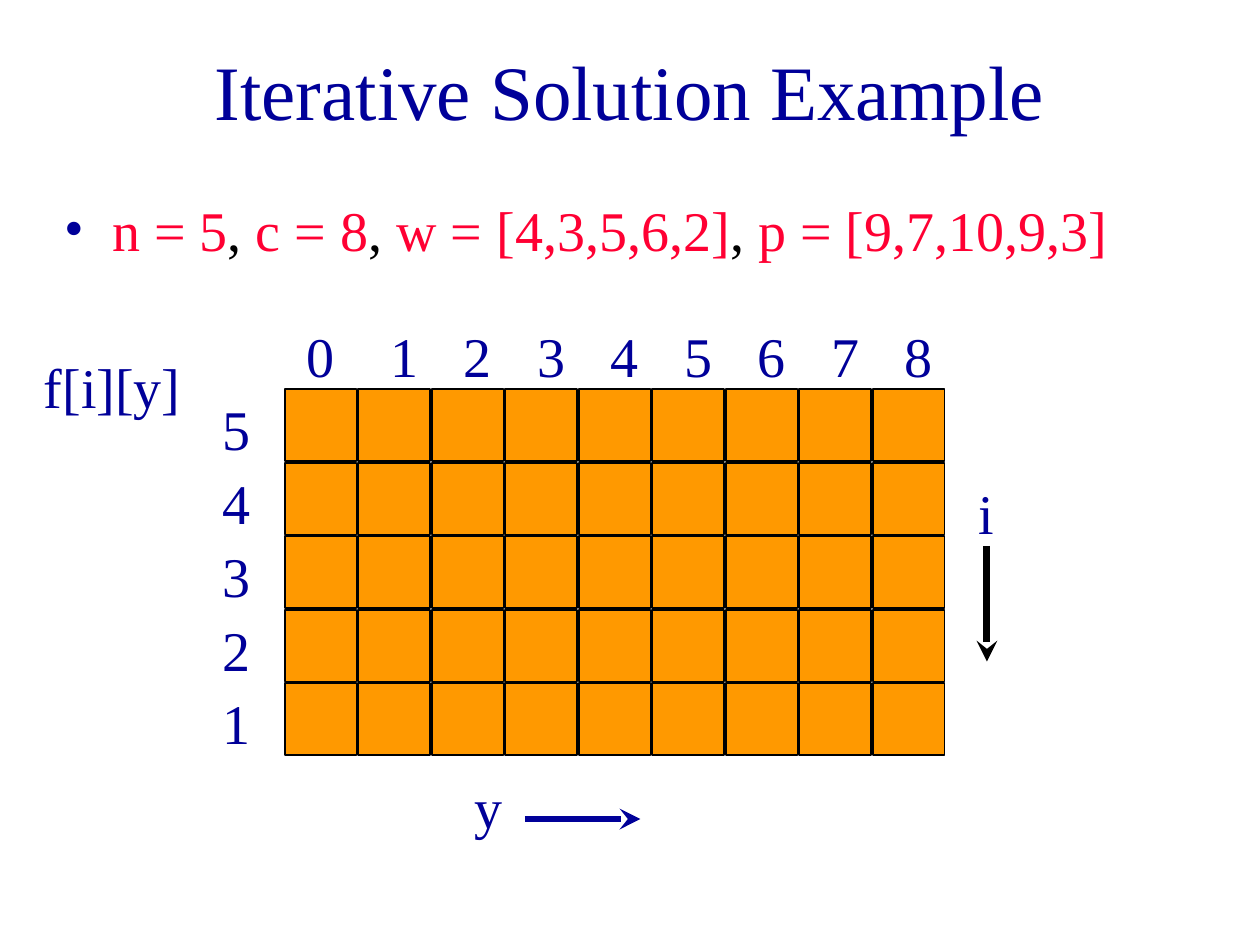
from lxml.etree import SubElement
from pptx import Presentation
from pptx.dml.color import RGBColor
from pptx.enum.shapes import MSO_CONNECTOR, MSO_SHAPE
from pptx.enum.text import MSO_ANCHOR, PP_ALIGN
from pptx.oxml.ns import qn
from pptx.util import Pt

FONT = "Times New Roman"
NAVY, RED, BLACK, ORANGE = "000099", "FF0033", "000000", "FF9900"

TITLE = "Iterative Solution Example"
PARAMETERS = ["n = 5", "c = 8", "w = [4,3,5,6,2]", "p = [9,7,10,9,3]"]
ROWS = ["5", "4", "3", "2", "1"]
COLUMNS = ["0", "1", "2", "3", "4", "5", "6", "7", "8"]
LABELS = [  # text, left, top, width
    ("f[i][y]", 18, 198, 102),
    ("y", 264, 438, 35),
    ("i", 552, 270, 30),
]
ARROWS = [  # start x, start y, end x, end y, colour
    (300, 468, 366, 468, NAVY),
    (564, 312, 564, 378, BLACK),
]
GRID_LEFT, GRID_TOP, PITCH, CELL = 162.75, 222.5, 42, 41


def colour(value):
    return RGBColor.from_string(value)


def format_span(span, size, value):
    span.font.name = FONT
    span.font.size = Pt(size)
    span.font.color.rgb = colour(value)


def add_label(page, text, left, top, width=35):
    box = page.shapes.add_textbox(Pt(left), Pt(top), Pt(width), Pt(45.5))
    box.text_frame.word_wrap = True
    para = box.text_frame.paragraphs[0]
    para.text = text
    format_span(para.runs[0], 32, NAVY)


def add_title(page):
    title = page.shapes.title
    title.left, title.top, title.width, title.height = Pt(54), Pt(12), Pt(612), Pt(78)
    title.text_frame.text = TITLE
    title.text_frame.vertical_anchor = MSO_ANCHOR.MIDDLE
    para = title.text_frame.paragraphs[0]
    para.alignment = PP_ALIGN.CENTER
    format_span(para.runs[0], 44, NAVY)


def add_parameters(page):
    box = page.shapes.add_textbox(Pt(30), Pt(108), Pt(666), Pt(48))
    box.text_frame.word_wrap = True
    para = box.text_frame.paragraphs[0]
    for index, parameter in enumerate(PARAMETERS):
        parts = [(parameter, RED)]
        if index:
            parts.insert(0, (", ", BLACK))
        for text, value in parts:
            span = para.add_run()
            span.text = text
            format_span(span, 32, value)
    properties = para._p.get_or_add_pPr()
    properties.set("marL", str(Pt(27)))
    properties.set("indent", str(-Pt(27)))
    bullet_colour = SubElement(properties, qn("a:buClr"))
    SubElement(bullet_colour, qn("a:srgbClr"), val=NAVY)
    SubElement(properties, qn("a:buFont"), typeface=FONT)
    SubElement(properties, qn("a:buChar"), char="•")


def add_grid(page):
    for row in range(len(ROWS)):
        for column in range(len(COLUMNS)):
            cell = page.shapes.add_shape(
                MSO_SHAPE.RECTANGLE,
                Pt(GRID_LEFT + column * PITCH), Pt(GRID_TOP + row * PITCH),
                Pt(CELL), Pt(CELL))
            cell.shadow.inherit = False
            cell.fill.solid()
            cell.fill.fore_color.rgb = colour(ORANGE)
            cell.line.color.rgb = colour(BLACK)
            cell.line.width = Pt(1)
    for row, text in enumerate(ROWS):
        add_label(page, text, 120, 222 + row * PITCH)
    for column, text in enumerate(COLUMNS):
        # The first column label sits slightly left of the regular spacing.
        add_label(page, text, 174 + column * PITCH if column else 168, 180)


def add_arrow(page, start_x, start_y, end_x, end_y, value):
    arrow = page.shapes.add_connector(
        MSO_CONNECTOR.STRAIGHT, Pt(start_x), Pt(start_y), Pt(end_x), Pt(end_y))
    arrow.line.color.rgb = colour(value)
    arrow.line.width = Pt(4)
    SubElement(arrow.line._get_or_add_ln(), qn("a:tailEnd"), type="stealth")
    SubElement(arrow._element.spPr, qn("a:effectLst"))


def main():
    deck = Presentation()
    deck.slide_width, deck.slide_height = Pt(720), Pt(540)
    page = deck.slides.add_slide(deck.slide_layouts.get_by_name("Title Only"))
    add_title(page)
    add_parameters(page)
    add_grid(page)
    for label in LABELS:
        add_label(page, *label)
    for arrow in ARROWS:
        add_arrow(page, *arrow)
    deck.save("out.pptx")


if __name__ == "__main__":
    main()
